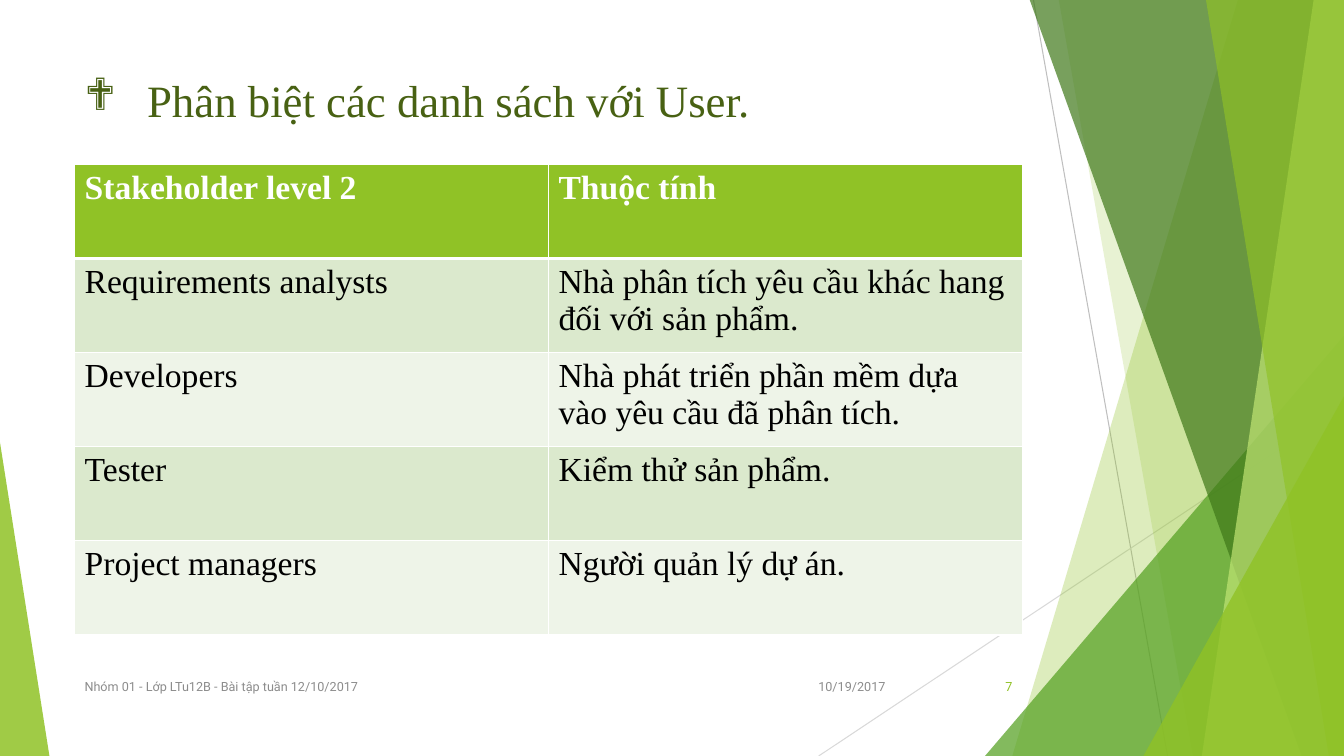
from lxml.etree import SubElement
from pptx import Presentation
from pptx.dml.color import RGBColor
from pptx.enum.shapes import MSO_CONNECTOR as Connector, MSO_SHAPE as Preset
from pptx.enum.text import MSO_ANCHOR as Anchor, PP_ALIGN as Align
from pptx.oxml.ns import qn
from pptx.util import Inches, Pt

COLORS = {
    "lime": "90C226", "leaf": "54A021", "forest": "3F7819", "pale": "C0E474",
    "title": "486113", "footer": "8C8C8C", "white": "FFFFFF", "black": "000000",
    "band_dark": "DBE9CD", "band_light": "EEF4E8",
    "line_dark": "BFBFBF", "line_light": "D9D9D9",
}
SERIF = "Times New Roman"
TOP, BOTTOM, RIGHT = -0.01, 7.5, 13.33


def rgb(name):
    return RGBColor.from_string(COLORS[name])


def style_text(paragraph, font_name, size, color, bold=False):
    for run in paragraph.runs:
        run.font.name = font_name
        run.font.size = Pt(size)
        run.font.bold = bold
        run.font.color.rgb = rgb(color)


prs = Presentation()
prs.slide_width, prs.slide_height = Inches(RIGHT), Inches(BOTTOM)
slide = prs.slides.add_slide(prs.slide_layouts[6])
shapes = slide.shapes

# Thin background lines
for x1, y1, x2, y2, color in [(10.25, 0, 11.58, BOTTOM, "line_dark"),
                              (RIGHT, 4.03, 8.12, BOTTOM, "line_light")]:
    ray = shapes.add_connector(Connector.STRAIGHT, Inches(x1), Inches(y1),
                               Inches(x2), Inches(y2))
    ray.line.color.rgb = rgb(color)
    ray.line.width = Pt(0.75)
    SubElement(ray._element.spPr, qn("a:effectLst"))

# Translucent facets, back to front
# band: top-left x, bottom-left x; triangle: left, top, width, apex position
facets = [
    ("band", (12.28, 10.04), "lime", 30),
    ("band", (10.5, 11.83), "lime", 20),
    ("triangle", (9.77, 3.33, 3.56, 1), "leaf", 72),
    ("band", (10.21, 12.91), "forest", 70),
    ("band", (13.03, 11.92), "pale", 70),
    ("band", (11.96, 13.18), "lime", 65),
    ("triangle", (11.34, 3.93, 1.99, 1), "lime", 80),
    ("triangle", (0, 4.39, 0.49, 0), "lime", 85),
]
for kind, geometry, color, opacity in facets:
    if kind == "band":
        top_x, bottom_x = geometry
        outline = shapes.build_freeform(Inches(top_x), Inches(TOP))
        outline.add_line_segments([(Inches(x), Inches(y)) for x, y in [
            (RIGHT, TOP), (RIGHT, BOTTOM), (bottom_x, BOTTOM)]], close=True)
        facet = outline.convert_to_shape()
    else:
        left, top, width, apex = geometry
        facet = shapes.add_shape(Preset.ISOSCELES_TRIANGLE, Inches(left), Inches(top),
                                 Inches(width), Inches(BOTTOM - top))
        facet.adjustments[0] = apex
    facet.shadow.inherit = False
    facet.line.fill.background()
    facet.fill.solid()
    facet.fill.fore_color.rgb = rgb(color)
    tint = facet._element.spPr.find(".//" + qn("a:srgbClr"))
    SubElement(tint, qn("a:alpha"), val=str(opacity * 1000))

# Title with diamond bullet
title = shapes.add_textbox(Inches(0.74), Inches(0.67), Inches(9.4), Inches(1.44))
title.text_frame.word_wrap = True
heading = title.text_frame.paragraphs[0]
heading.text = "Phân biệt các danh sách với User."
heading_props = heading._p.get_or_add_pPr()
heading_props.set("marL", str(Inches(0.62)))
heading_props.set("indent", str(-Inches(0.62)))
SubElement(heading_props, qn("a:buFont"), typeface="Wingdings")
SubElement(heading_props, qn("a:buChar"), char="❖")
style_text(heading, SERIF, 32, "title")

# Stakeholder table
stakeholders = [
    ("Stakeholder level 2", "Thuộc tính"),
    ("Requirements analysts", "Nhà phân tích yêu cầu khác hang đối với sản phẩm."),
    ("Developers", "Nhà phát triển phần mềm dựa vào yêu cầu đã phân tích."),
    ("Tester", "Kiểm thử sản phẩm."),
    ("Project managers", "Người quản lý dự án."),
]
table = shapes.add_table(len(stakeholders), 2, Inches(0.74), Inches(1.63),
                         Inches(9.4), Inches(4.67)).table
for row_no, row in enumerate(stakeholders):
    is_header = row_no == 0
    band = "lime" if is_header else "band_dark" if row_no % 2 else "band_light"
    for col_no, text in enumerate(row):
        cell = table.cell(row_no, col_no)
        cell.text_frame.text = text
        style_text(cell.text_frame.paragraphs[0], SERIF, 24,
                   "white" if is_header else "black", is_header)
        cell_props = cell._tc.get_or_add_tcPr()
        for side in ("lnL", "lnR", "lnT", "lnB"):
            thick = (side == "lnB" and row_no == 0) or (side == "lnT" and row_no == 1)
            border = SubElement(cell_props, qn("a:" + side), w=str(Pt(3 if thick else 1)))
            SubElement(SubElement(border, qn("a:solidFill")), qn("a:srgbClr"),
                       val=COLORS["white"])
        cell.fill.solid()
        cell.fill.fore_color.rgb = rgb(band)

# Footer: date, group, slide number
for left, width, text, align, color in [
    (7.88, 1, "10/19/2017", Align.RIGHT, "footer"),
    (0.74, 6.89, "Nhóm 01 - Lớp LTu12B - Bài tập tuần 12/10/2017", Align.LEFT, "footer"),
    (9.39, 0.75, "7", Align.RIGHT, "lime"),
]:
    footer = shapes.add_textbox(Inches(left), Inches(6.61), Inches(width), Inches(0.4))
    footer.text_frame.word_wrap = True
    footer.text_frame.vertical_anchor = Anchor.MIDDLE
    note = footer.text_frame.paragraphs[0]
    note.text = text
    note.alignment = align
    style_text(note, "Roboto", 9, color)

prs.save("out.pptx")
